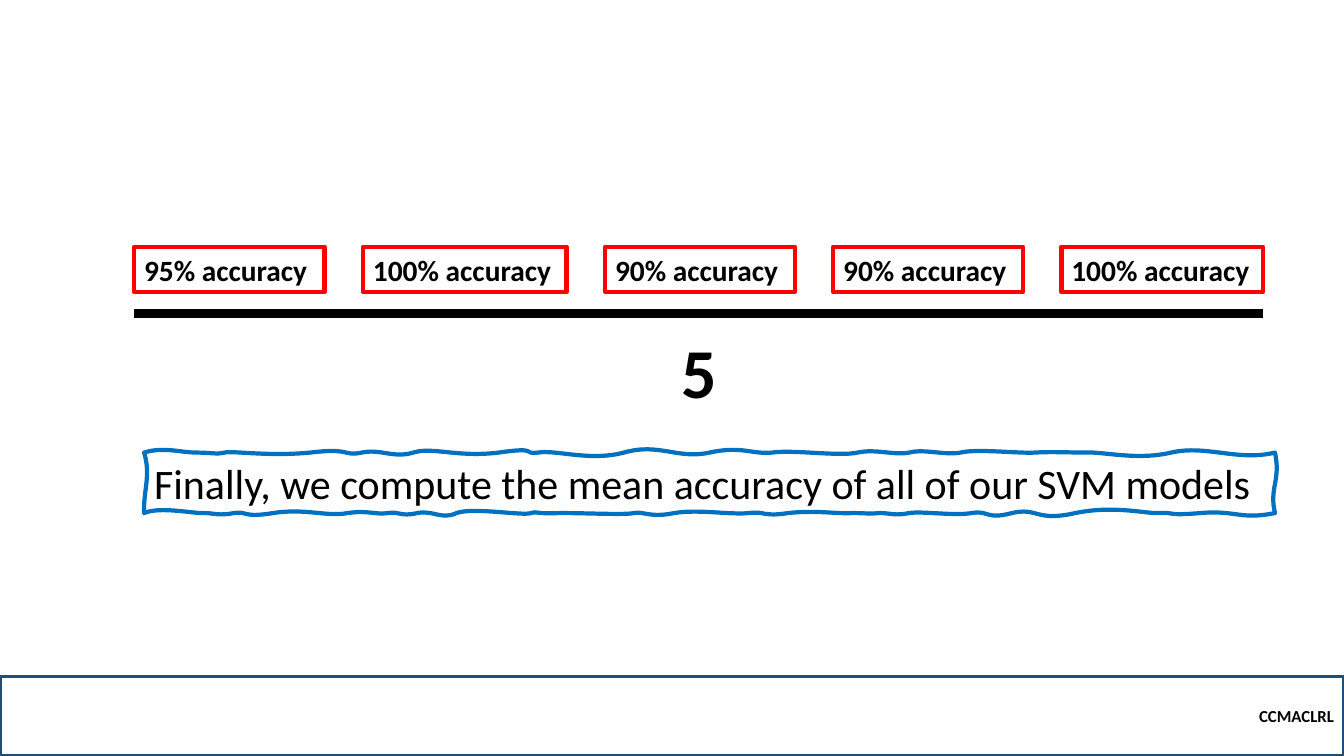
from lxml.etree import SubElement
from pptx import Presentation
from pptx.dml.color import RGBColor
from pptx.enum.shapes import MSO_CONNECTOR, MSO_SHAPE
from pptx.enum.text import MSO_ANCHOR, MSO_AUTO_SIZE, PP_ALIGN
from pptx.oxml.ns import qn
from pptx.util import Cm, Pt

COLORS = {"text": "000000", "box": "FF0000", "wave": "0070C0", "footer": "1F4E79"}
FONT = "Calibri"
SLIDE_W, SLIDE_H = 33.87, 19.05

# Label and box width in cm
SCORES = [
    ("95% accuracy", 4.8),
    ("100% accuracy", 5.13),
    ("90% accuracy", 4.78),
    ("90% accuracy", 4.78),
    ("100% accuracy", 5.08),
]
DIVISOR = str(len(SCORES))
SUMMARY = "Finally, we compute the mean accuracy of all of our SVM models"
FOOTER = "CCMACLRL"

# Hand-drawn frame in 1/100 inch: control x, rise, control x, rise, end x
FRAME_LEFT, FRAME_RIGHT, FRAME_TOP, FRAME_BOTTOM = 143, 1265, 449, 509
TOP_WAVES = [
    (162, -6, 180, 0, 194), (209, 0, 216, 2, 223), (230, -2, 266, 4, 308),
    (349, -5, 340, 4, 359), (377, -4, 391, 6, 410), (429, -6, 453, 5, 495),
    (536, -6, 517, 2, 534), (552, -3, 585, 9, 619), (654, -10, 672, 7, 704),
    (736, -7, 746, 2, 766), (787, -3, 833, 4, 851), (869, -4, 887, 3, 902),
    (917, -4, 938, 3, 953), (969, -4, 1010, 1, 1027), (1043, -1, 1060, 0, 1078),
    (1095, -1, 1128, 8, 1162), (1197, -8, 1228, 9, 1265),
]
BOTTOM_WAVES = [
    (1230, 7, 1227, -3, 1191), (1156, 3, 1166, -1, 1151), (1137, 1, 1106, -8, 1067),
    (1027, 9, 1030, -6, 1004), (978, 7, 981, -3, 964), (947, 3, 916, -2, 902),
    (888, 3, 884, 0, 873), (862, 1, 858, 0, 845), (831, 1, 809, -3, 782),
    (756, 4, 760, -2, 743), (725, 2, 693, -4, 669), (645, 5, 638, -2, 629),
    (620, 2, 584, 0, 556), (527, 1, 535, -2, 527), (519, 3, 469, -6, 453),
    (438, 7, 430, -3, 414), (397, 4, 396, -2, 385), (373, 2, 365, -3, 345),
    (325, 4, 303, -5, 271), (240, 5, 247, -2, 232), (217, 3, 212, 0, 203),
    (194, 1, 159, -7, 143),
]
RIGHT_EDGE = ((1271, 477), (1259, 484), (FRAME_RIGHT, FRAME_BOTTOM))
LEFT_EDGE = ((142, 487), (150, 472), (FRAME_LEFT, FRAME_TOP))


def rgb(name):
    return RGBColor.from_string(COLORS[name])


def write(sp, text, size, bold=True, align=PP_ALIGN.LEFT, anchor=MSO_ANCHOR.TOP,
          wrap=False, fit=MSO_AUTO_SIZE.SHAPE_TO_FIT_TEXT):
    tf = sp.text_frame
    tf.word_wrap = wrap
    tf.auto_size = fit
    tf.vertical_anchor = anchor
    p = tf.paragraphs[0]
    p.alignment = align
    r = p.add_run()
    r.text = text
    r.font.name, r.font.size, r.font.bold = FONT, Pt(size), bold
    r.font.color.rgb = rgb("text")


def outline(sp, color, width):
    sp.shadow.inherit = False
    sp.fill.background()
    sp.line.color.rgb = rgb(color)
    sp.line.width = Pt(width)


def add_box(shapes, x, y, w, h, color, width):
    sp = shapes.add_shape(MSO_SHAPE.RECTANGLE, Cm(x), Cm(y), Cm(w), Cm(h))
    outline(sp, color, width)
    return sp


def wavy_edge(waves, y):
    return [((x1, y + d1), (x2, y + d2), (x, y)) for x1, d1, x2, d2, x in waves]


def add_frame(shapes):
    """Build the outline from its corner points, then bend each segment into a cubic curve."""
    curves = (wavy_edge(TOP_WAVES, FRAME_TOP) + [RIGHT_EDGE]
              + wavy_edge(BOTTOM_WAVES, FRAME_BOTTOM) + [LEFT_EDGE])
    builder = shapes.build_freeform(FRAME_LEFT, FRAME_TOP, scale=Cm(2.54) / 100)
    builder.add_line_segments([end for _, _, end in curves], close=True)
    sp = builder.convert_to_shape()
    segments = list(sp._element.iter(qn("a:lnTo")))
    for segment, (c1, c2, _) in zip(segments, curves):
        segment.tag = qn("a:cubicBezTo")
        for i, (x, y) in enumerate((c1, c2)):
            pt = segment.makeelement(
                qn("a:pt"), {"x": str(x - FRAME_LEFT), "y": str(y - FRAME_TOP)})
            segment.insert(i, pt)
    outline(sp, "wave", 3)
    return sp


def main():
    prs = Presentation()
    prs.slide_width, prs.slide_height = Cm(SLIDE_W), Cm(SLIDE_H)
    shapes = prs.slides.add_slide(prs.slide_layouts[6]).shapes

    footer_h = 2
    footer = add_box(shapes, 0, SLIDE_H - footer_h, SLIDE_W, footer_h, "footer", 2.25)
    write(footer, FOOTER, 12, align=PP_ALIGN.RIGHT, anchor=MSO_ANCHOR.MIDDLE,
          wrap=True, fit=MSO_AUTO_SIZE.NONE)

    write(add_frame(shapes), SUMMARY, 30, bold=False, wrap=True)

    left, gap = 3.38, 0.97
    x = left
    for label, w in SCORES:
        write(add_box(shapes, x, 6.22, w, 1.14, "box", 3), label, 21, wrap=True)
        x += w + gap
    right = x - gap

    bar_y = 7.9
    bar = shapes.add_connector(MSO_CONNECTOR.STRAIGHT, Cm(left), Cm(bar_y), Cm(right), Cm(bar_y))
    bar.line.color.rgb = rgb("text")
    bar.line.width = Pt(6)
    SubElement(bar._element.spPr, qn("a:effectLst"))

    divisor_w = 1.47
    divisor = shapes.add_textbox(
        Cm((left + right - divisor_w) / 2 + 0.05), Cm(8.15), Cm(divisor_w), Cm(2.39))
    write(divisor, DIVISOR, 50, wrap=True)

    prs.save("out.pptx")


if __name__ == "__main__":
    main()
